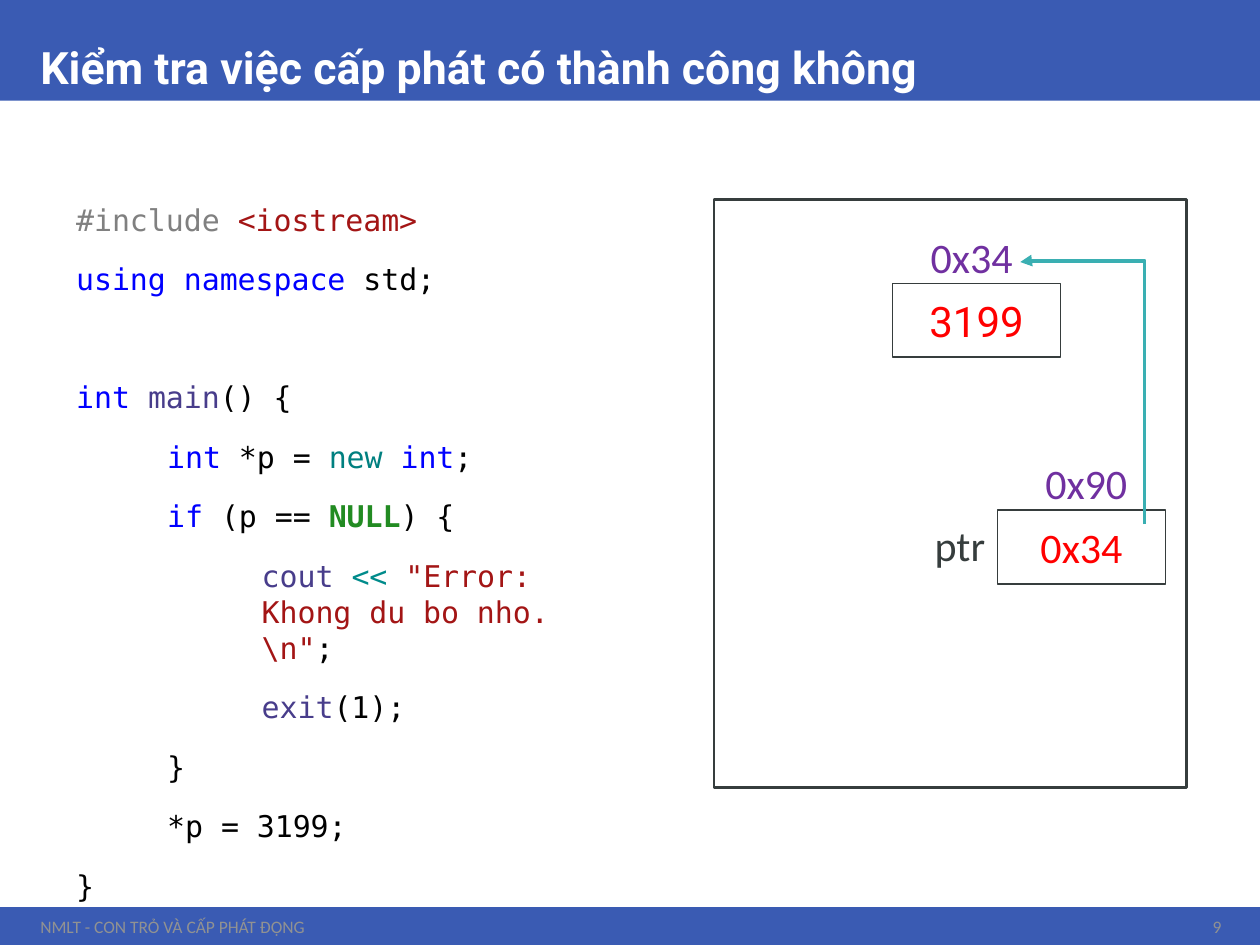
from dataclasses import dataclass

from lxml.etree import SubElement
from pptx import Presentation
from pptx.dml.color import RGBColor
from pptx.enum.shapes import MSO_CONNECTOR, MSO_SHAPE
from pptx.enum.text import MSO_ANCHOR, PP_ALIGN
from pptx.oxml.ns import qn
from pptx.util import Pt


@dataclass(frozen=True)
class Theme:
    band: str = "3A5BB3"
    white: str = "FFFFFF"
    ink: str = "363D3D"
    footer: str = "919292"
    address: str = "7030A0"
    value: str = "FF0000"
    arrow: str = "3AAFB2"
    plain: str = "000000"
    directive: str = "808080"
    string: str = "A31515"
    keyword: str = "0000FF"
    function: str = "483D8B"
    allocation: str = "008080"
    constant: str = "228B22"
    operator: str = "008B8B"
    heading_font: str = "Roboto"
    body_font: str = "Calibri"
    code_font: str = "DejaVu Sans Mono"
    title_size: float = 25.5
    code_size: float = 17.1
    memory_size: float = 24
    footer_size: float = 10


THEME = Theme()
CODE_GAP = 13.5
BLANK_LINE = 33.4
INDENTS = (6.5, 58.5, 112.5)

# Each line: indent level, extra space above, coloured pieces of code
CODE = [
    (0, 0, [("directive", "#include"), ("plain", " "), ("string", "<iostream>")]),
    (0, 0, [("keyword", "using"), ("plain", " "), ("keyword", "namespace"),
            ("plain", " std;")]),
    (0, BLANK_LINE, [("keyword", "int"), ("plain", " "), ("function", "main"),
                     ("plain", "() {")]),
    (1, 0, [("keyword", "int"), ("plain", " *p = "), ("allocation", "new"),
            ("plain", " "), ("keyword", "int"), ("plain", ";")]),
    (1, 0, [("keyword", "if"), ("plain", " (p == "), ("constant", "NULL"),
            ("plain", ") {")]),
    (2, 0, [("function", "cout"), ("plain", " "), ("operator", "<<"), ("plain", " "),
            ("string", '"Error: Khong du bo nho.\\n"'), ("plain", ";")]),
    (2, 0, [("function", "exit"), ("plain", "(1);")]),
    (1, 0, [("plain", "}")]),
    (1, 0, [("plain", "*p = 3199;")]),
    (0, 0, [("plain", "}")]),
]


class SlideBuilder:
    def __init__(self, slide, theme):
        self.slide = slide
        self.theme = theme

    def color(self, name):
        return RGBColor.from_string(getattr(self.theme, name))

    def box(self, left, top, width, height, fill="white", line_width=None):
        shape = self.slide.shapes.add_shape(
            MSO_SHAPE.RECTANGLE, Pt(left), Pt(top), Pt(width), Pt(height))
        shape.shadow.inherit = False
        shape.fill.solid()
        shape.fill.fore_color.rgb = self.color(fill)
        if line_width:
            shape.line.color.rgb = self.color("ink")
            shape.line.width = Pt(line_width)
        else:
            shape.line.fill.background()
        return shape

    def frame(self, left, top, width, height):
        text_frame = self.slide.shapes.add_textbox(
            Pt(left), Pt(top), Pt(width), Pt(height)).text_frame
        text_frame.word_wrap = True
        return text_frame

    def set_text(self, text_frame, text, size, color, font=None,
                 align=PP_ALIGN.LEFT, anchor=MSO_ANCHOR.MIDDLE):
        text_frame.vertical_anchor = anchor
        paragraph = text_frame.paragraphs[0]
        paragraph.text = text
        paragraph.alignment = align
        paragraph.font.name = font or self.theme.body_font
        paragraph.font.size = Pt(size)
        paragraph.font.color.rgb = self.color(color)
        return paragraph

    def memory_cell(self, left, top, value, font=None):
        cell = self.box(left, top, 96, 42, line_width=1)
        self.set_text(cell.text_frame, value, self.theme.memory_size, "value", font,
                      PP_ALIGN.CENTER)

    def memory_label(self, left, top, text, color="address", align=PP_ALIGN.CENTER):
        self.set_text(self.frame(left, top, 101.5, 24), text,
                      self.theme.memory_size, color, align=align)

    def code(self, left, top, width, height, lines):
        text_frame = self.frame(left, top, width, height)
        for index, (level, extra, pieces) in enumerate(lines):
            paragraph = text_frame.add_paragraph() if index else text_frame.paragraphs[0]
            paragraph.space_before = Pt(CODE_GAP + extra)
            paragraph.font.name = self.theme.code_font
            paragraph.font.size = Pt(self.theme.code_size)
            properties = paragraph._p.get_or_add_pPr()
            properties.set("marL", str(Pt(INDENTS[level])))
            properties.set("indent", "0")
            for color, text in pieces:
                run = paragraph.add_run()
                run.text = text
                run.font.color.rgb = self.color(color)
                if color == "constant":
                    run.font.bold = True

    def pointer_arrow(self, start, end):
        """Elbow arrow that goes up from start, then left to end.

        An elbow leaves sideways, so it is laid flat and turned a quarter left.
        """
        (start_x, start_y), (end_x, end_y) = start, end
        center_x, center_y = (start_x + end_x) / 2, (start_y + end_y) / 2
        half_length, half_depth = (start_y - end_y) / 2, (start_x - end_x) / 2
        connector = self.slide.shapes.add_connector(
            MSO_CONNECTOR.ELBOW,
            Pt(center_x - half_length), Pt(center_y + half_depth),
            Pt(center_x + half_length), Pt(center_y - half_depth))
        connector.line.color.rgb = self.color("arrow")
        connector.line.width = Pt(2.25)
        properties = connector._element.spPr
        properties.find(qn("a:xfrm")).set("rot", str(270 * 60000))
        geometry = properties.find(qn("a:prstGeom"))
        adjustments = geometry.find(qn("a:avLst"))
        if adjustments is None:
            adjustments = SubElement(geometry, qn("a:avLst"))
        SubElement(adjustments, qn("a:gd"), name="adj1", fmla="val 100500")
        SubElement(properties.find(qn("a:ln")), qn("a:tailEnd"), type="triangle")
        SubElement(properties, qn("a:effectLst"))


def main():
    presentation = Presentation()
    presentation.slide_width, presentation.slide_height = Pt(720), Pt(540)
    slide = presentation.slides.add_slide(presentation.slide_layouts[6])
    builder = SlideBuilder(slide, THEME)

    builder.box(0, 0, 720, 57.5, "band")
    builder.box(0, 518.4, 720, 21.6, "band")
    title = builder.set_text(
        builder.frame(16, 0, 689, 57.5), "Kiểm tra việc cấp phát có thành công không",
        THEME.title_size, "white", THEME.heading_font, anchor=MSO_ANCHOR.BOTTOM)
    title.font.bold = True
    title.line_spacing = 0.9
    builder.code(30, 111.6, 330, 396, CODE)
    builder.set_text(builder.frame(16, 520, 595, 19), "NMLT - CON TRỎ VÀ CẤP PHÁT ĐỘNG",
                     THEME.footer_size, "footer")
    builder.set_text(builder.frame(667, 520, 38, 19), "9",
                     THEME.footer_size, "footer", align=PP_ALIGN.RIGHT)

    builder.box(408, 114, 270, 336, line_width=1.5)
    builder.memory_cell(510, 162, "3199", THEME.heading_font)
    builder.memory_cell(570, 291.6, "0x34")
    builder.memory_label(468.5, 299.5, "ptr", "ink", PP_ALIGN.RIGHT)
    builder.memory_label(504.5, 134.5, "0x34")
    builder.memory_label(570, 264, "0x90")
    builder.pointer_arrow((654, 299.5), (583, 149.75))

    presentation.save("out.pptx")


if __name__ == "__main__":
    main()
